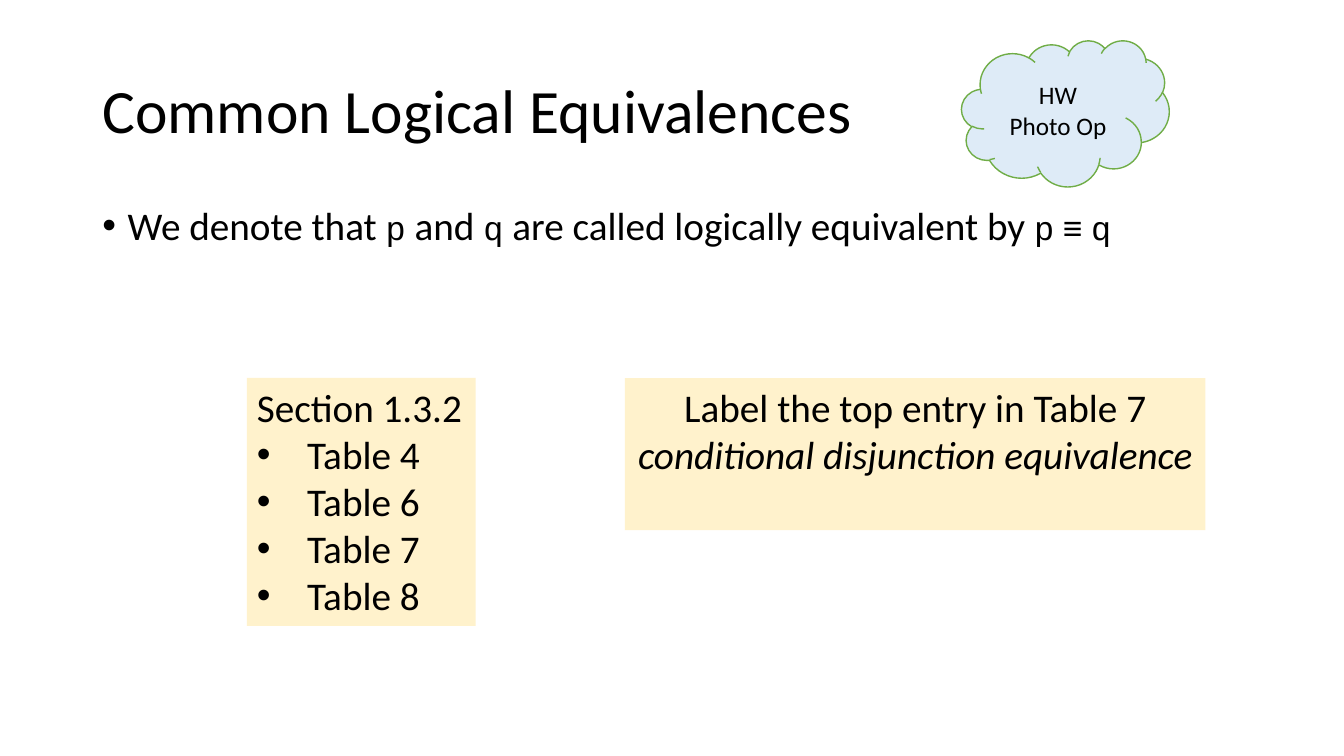
"""Build the slide on common logical equivalences."""
from dataclasses import dataclass

from lxml.etree import SubElement
from pptx import Presentation
from pptx.dml.color import RGBColor
from pptx.enum.shapes import MSO_SHAPE
from pptx.enum.text import MSO_ANCHOR, MSO_AUTO_SIZE, PP_ALIGN
from pptx.oxml.ns import qn
from pptx.util import Pt


@dataclass(frozen=True)
class Theme:
    sans: str = "Calibri"
    mono: str = "Courier New"
    ink: str = "000000"
    note_fill: str = "FFF2CC"
    cloud_fill: str = "DEEBF7"
    cloud_line: str = "70AD47"
    title_size: float = 44
    body_size: float = 28
    symbol_size: float = 24
    cloud_size: float = 18
    gap_size: float = 10
    line_spacing: float = 0.9


THEME = Theme()


@dataclass(frozen=True)
class Span:
    text: str
    size: float = THEME.body_size
    font: str = THEME.sans
    italic: bool = False


@dataclass(frozen=True)
class Para:
    spans: tuple[Span, ...]
    align: PP_ALIGN = PP_ALIGN.LEFT
    bullet_indent: float = 0
    line_spacing: float = 1


@dataclass(frozen=True)
class Area:
    left: float
    top: float
    width: float
    height: float


@dataclass(frozen=True)
class Panel:
    area: Area
    paras: tuple[Para, ...]
    fill: str
    shape: MSO_SHAPE = MSO_SHAPE.RECTANGLE
    line: str | None = None
    anchor: MSO_ANCHOR = MSO_ANCHOR.TOP
    wrap: bool = False


def symbol(text: str) -> Span:
    return Span(text, THEME.symbol_size, THEME.mono)


def centred(text: str, size: float = THEME.body_size, italic: bool = False) -> Para:
    return Para((Span(text, size, italic=italic),), PP_ALIGN.CENTER)


TITLE_AREA = Area(66, 28.8, 828, 104.4)
BODY_AREA = Area(66, 144, 828, 342.7)
GAP = Span(" ", THEME.gap_size, THEME.mono)

TITLE = Para(
    (Span("Common Logical Equivalences", THEME.title_size),),
    line_spacing=THEME.line_spacing,
)
DEFINITION = Para(
    (
        Span("We denote that "), symbol("p"), Span(" and "), symbol("q"),
        Span(" are called logically equivalent by "),
        symbol("p"), GAP, symbol("≡"), GAP, symbol("q"),
    ),
    bullet_indent=18,
    line_spacing=THEME.line_spacing,
)
TABLES = tuple(
    Para((Span(f"Table {number}"),), bullet_indent=36) for number in (4, 6, 7, 8)
)
PANELS = (
    Panel(
        Area(176.4, 270, 163.4, 177.1),
        (Para((Span("Section 1.3.2"),)), *TABLES),
        THEME.note_fill,
    ),
    Panel(
        Area(446.4, 270, 414.7, 108.7),
        (
            centred("Label the top entry in Table 7"),
            centred("conditional disjunction equivalence", italic=True),
        ),
        THEME.note_fill,
    ),
    Panel(
        Area(686.9, 28.8, 148.3, 104.4),
        (centred("HW", THEME.cloud_size), centred("Photo Op", THEME.cloud_size)),
        THEME.cloud_fill,
        MSO_SHAPE.CLOUD,
        THEME.cloud_line,
        MSO_ANCHOR.MIDDLE,
        True,
    ),
)


def colour(value: str) -> RGBColor:
    return RGBColor.from_string(value)


def add_bullet(paragraph, indent: float) -> None:
    properties = paragraph._p.get_or_add_pPr()
    properties.set("marL", str(Pt(indent)))
    properties.set("indent", str(-Pt(indent)))
    SubElement(properties, qn("a:buFont"), typeface="Arial")
    SubElement(properties, qn("a:buChar"), char="•")


def write(text_frame, paras: tuple[Para, ...], anchor: MSO_ANCHOR, wrap: bool) -> None:
    text_frame.auto_size = MSO_AUTO_SIZE.NONE
    text_frame.word_wrap = wrap
    text_frame.vertical_anchor = anchor
    for index, para in enumerate(paras):
        paragraph = text_frame.add_paragraph() if index else text_frame.paragraphs[0]
        if para.bullet_indent:
            add_bullet(paragraph, para.bullet_indent)
        paragraph.alignment = para.align
        paragraph.line_spacing = para.line_spacing
        paragraph.space_before = Pt(0)
        for span in para.spans:
            run = paragraph.add_run()
            run.text = span.text
            run.font.name = span.font
            run.font.size = Pt(span.size)
            run.font.italic = span.italic
            run.font.color.rgb = colour(THEME.ink)


def place(box, area: Area) -> None:
    box.left, box.top = Pt(area.left), Pt(area.top)
    box.width, box.height = Pt(area.width), Pt(area.height)


def draw_panel(page, panel: Panel) -> None:
    box = page.shapes.add_shape(panel.shape, 0, 0, 0, 0)
    place(box, panel.area)
    box.shadow.inherit = False
    box.fill.solid()
    box.fill.fore_color.rgb = colour(panel.fill)
    if panel.line:
        box.line.color.rgb = colour(panel.line)
        box.line.width = Pt(1)
    else:
        box.line.fill.background()
    write(box.text_frame, panel.paras, panel.anchor, panel.wrap)


def main() -> None:
    deck = Presentation()
    deck.slide_width, deck.slide_height = Pt(960), Pt(540)
    page = deck.slides.add_slide(deck.slide_layouts[1])
    title, body = page.shapes.title, page.placeholders[1]
    place(title, TITLE_AREA)
    write(title.text_frame, (TITLE,), MSO_ANCHOR.MIDDLE, True)
    place(body, BODY_AREA)
    write(body.text_frame, (DEFINITION,), MSO_ANCHOR.TOP, True)
    for panel in PANELS:
        draw_panel(page, panel)
    deck.save("out.pptx")


if __name__ == "__main__":
    main()
